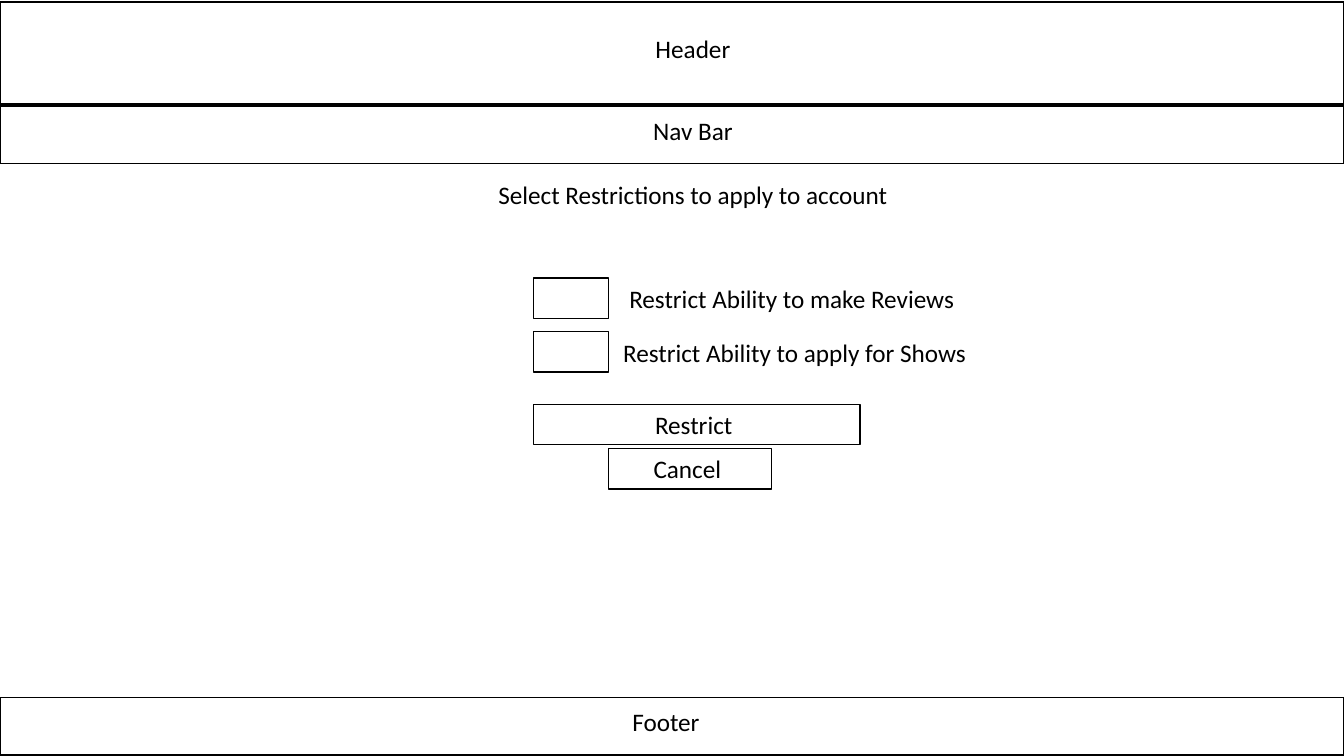
from pptx import Presentation
from pptx import util as u
from pptx.dml.color import RGBColor
from pptx.enum import shapes, text

COLORS = {"ink": "000000"}
FONT = "Calibri"
SLIDE_W, SLIDE_H = 33.87, 19.05
LABEL_W, LABEL_H = 14.91, 1.02
BUTTON_H = 1.02


def place(sp, x, y, w, h):
    sp.left, sp.top, sp.width, sp.height = (u.Cm(v) for v in (x, y, w, h))


def write(sp, words, anchor=text.MSO_ANCHOR.TOP):
    tf = sp.text_frame
    tf.word_wrap = True
    tf.auto_size = text.MSO_AUTO_SIZE.NONE
    tf.vertical_anchor = anchor
    tf.margin_left = tf.margin_right = u.Cm(0.25)
    tf.margin_top = tf.margin_bottom = u.Cm(0.13)
    p = tf.paragraphs[0]
    p.text = words
    p.alignment = text.PP_ALIGN.CENTER
    p.font.name = FONT
    p.font.size = u.Pt(18)
    p.font.color.rgb = RGBColor.from_string(COLORS["ink"])


def add_box(s, x, y, w, h, words=None):
    sp = s.shapes.add_shape(shapes.MSO_SHAPE.RECTANGLE,
                            u.Cm(x), u.Cm(y), u.Cm(w), u.Cm(h))
    sp.shadow.inherit = False
    sp.fill.background()
    sp.line.color.rgb = RGBColor.from_string(COLORS["ink"])
    sp.line.width = u.Pt(1)
    if words:
        write(sp, words, text.MSO_ANCHOR.MIDDLE)


def add_label(s, x, y, words):
    sp = s.shapes.add_textbox(u.Cm(x), u.Cm(y), u.Cm(LABEL_W), u.Cm(LABEL_H))
    write(sp, words)


def add_band(s, y, h, words, label_x, label_dy):
    """Full-width page band with its caption."""
    add_box(s, 0, y, SLIDE_W, h)
    add_label(s, label_x, y + label_dy, words)


def add_heading(s, x, y, words):
    place(s.shapes.title, x, y, LABEL_W, LABEL_H)
    write(s.shapes.title, words)


def add_options(s, x, y, step, options):
    """Tick boxes, each with its label to the right."""
    for i, words in enumerate(options):
        add_label(s, x - 0.87, y + i * step, words)
        add_box(s, x, y + i * step, 1.9, BUTTON_H)


def add_buttons(s, x, y):
    add_box(s, x, y, 8.23, BUTTON_H, "Restrict ")
    add_box(s, x + 1.9, y + 1.11, 4.11, BUTTON_H, "Cancel ")


def main():
    prs = Presentation()
    prs.slide_width, prs.slide_height = u.Cm(SLIDE_W), u.Cm(SLIDE_H)
    s = prs.slides.add_slide(prs.slide_layouts[5])

    # Page frame
    add_band(s, 0.05, 2.57, "Header ", 10.08, 0.66)
    add_band(s, 2.67, 1.45, "Nav Bar ", 10.08, 0.1)
    add_band(s, 17.58, 1.45, "Footer ", 9.4, 0.1)

    # Restriction form
    add_heading(s, 10.08, 4.39, "Select Restrictions to apply to account ")
    add_options(s, 13.44, 7.01, 1.35, ["Restrict Ability to make Reviews ",
                                       "Restrict Ability to apply for Shows"])
    add_buttons(s, 13.44, 10.19)

    prs.save("out.pptx")


if __name__ == "__main__":
    main()
